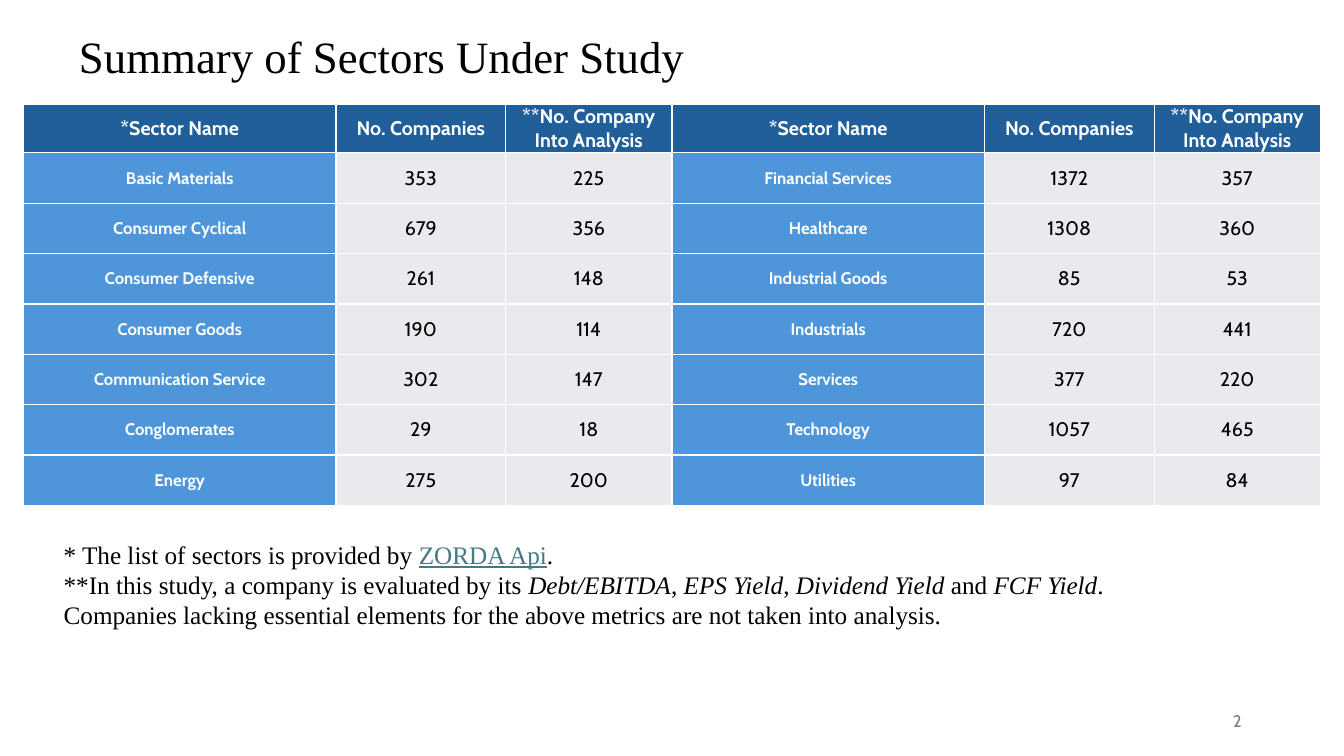
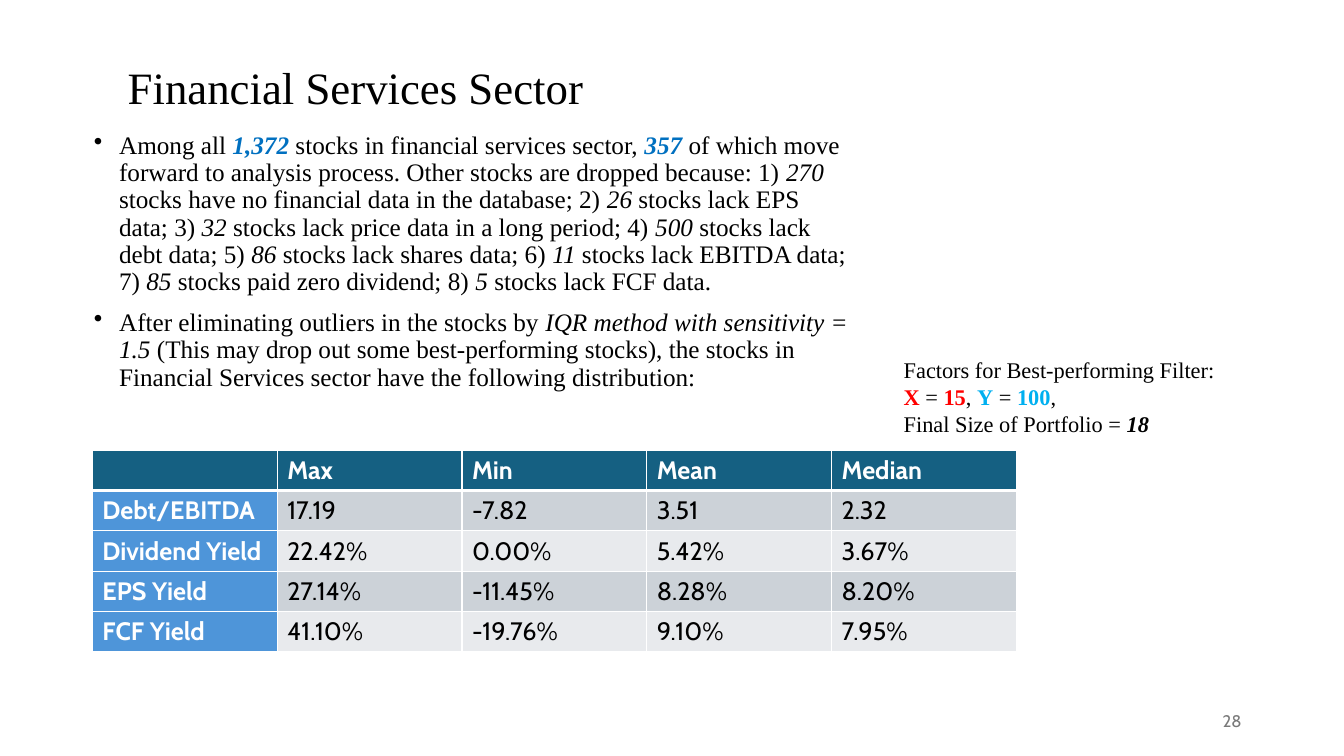
from lxml import etree
from pptx import Presentation
from pptx.dml.color import RGBColor
from pptx.enum.text import MSO_ANCHOR, MSO_AUTO_SIZE, PP_ALIGN
from pptx.oxml.ns import qn
from pptx.util import Inches, Pt

LEFT, CENTER, RIGHT = PP_ALIGN.LEFT, PP_ALIGN.CENTER, PP_ALIGN.RIGHT
TOP, MIDDLE = MSO_ANCHOR.TOP, MSO_ANCHOR.MIDDLE
NO_FIT = MSO_AUTO_SIZE.NONE

SERIF, SANS = "Times New Roman", "Cabin"
C = {
    "black": "000000", "white": "FFFFFF", "grey": "797979",
    "navy": "215F9A", "teal": "156082", "blue": "4E95D9",
    "pale": "E8EAED", "band": "CCD2D8", "link": "467886",
    "count": "0070C0", "red": "FF0000", "cyan": "00B0F0",
}
# Run styles: colour, bold, italic, underline
STYLES = {
    "plain": ("black", False, False, False),
    "i": ("black", False, True, False),
    "bi": ("black", True, True, False),
    "count": ("count", True, True, False),
    "link": ("link", False, False, True),
    "x": ("red", True, False, False),
    "y": ("cyan", True, False, False),
    "head": ("white", True, False, False),
    "page": ("grey", False, False, False),
}

prs = Presentation()
prs.slide_width, prs.slide_height = Inches(13.33), Inches(7.5)
U = prs.slide_width // 800  # grid of 800 columns by 450 rows


def write(tf, lines, size, font=SERIF, style="plain", align=LEFT):
    """Fill a frame; '|' parts the runs and 'key~' before a run names its style."""
    for n, line in enumerate(lines):
        p = tf.paragraphs[0] if n == 0 else tf.add_paragraph()
        p.alignment = align
        for part in line.split("|"):
            key, mark, text = part.rpartition("~")
            r = p.add_run()
            r.text = text
            colour, bold, italic, underline = STYLES[key if mark else style]
            r.font.name, r.font.size = font, Pt(size)
            r.font.bold, r.font.italic, r.font.underline = bold, italic, underline
            r.font.color.rgb = RGBColor.from_string(C[colour])


def add_grid(s, left, top, cols, rows, data, head, bands, sizes, align, anchor,
             margins, head_line):
    """Add a table; sizes are for the header, the first column and the values."""
    tbl = s.shapes.add_table(len(rows), len(cols), left * U, top * U,
                             sum(cols) * U, sum(rows) * U).table
    tbl.horz_banding = False
    for column, width in zip(tbl.columns, cols):
        column.width = width * U
    for i, values in enumerate(data):
        tbl.rows[i].height = rows[i] * U
        for j, value in enumerate(values):
            cell = tbl.cell(i, j)
            kind = 0 if i == 0 else 1 if j == 0 else 2
            fill = (head, "blue", bands[i % len(bands)])[kind]
            cell.fill.solid()
            cell.fill.fore_color.rgb = RGBColor.from_string(C[fill])
            cell.vertical_anchor = anchor
            cell.margin_left = cell.margin_right = Inches(margins[0])
            cell.margin_top = cell.margin_bottom = Inches(margins[1])
            if value:
                write(cell.text_frame, [value], sizes[kind], SANS,
                      "plain" if kind == 2 else "head", align)
            widths = {"lnL": 1, "lnR": 1,
                      "lnT": head_line if i == 1 else 1,
                      "lnB": head_line if i == 0 else 1}
            tcPr = cell._tc.get_or_add_tcPr()
            for n, (side, width) in enumerate(widths.items()):
                ln = etree.Element(qn("a:" + side), w=str(Pt(width)))
                solid = etree.SubElement(ln, qn("a:solidFill"))
                etree.SubElement(solid, qn("a:srgbClr"), val=C["white"])
                tcPr.insert(n, ln)


# Titles and page numbers
slides = []
for title, box, number in [
    ("Summary of Sectors Under Study", (41, 0, 690, 70), "2"),
    ("Financial Services Sector", (70, 9, 294, 89), "28"),
]:
    s = prs.slides.add_slide(prs.slide_layouts[5])
    sp = s.shapes.title
    sp.left, sp.top, sp.width, sp.height = [n * U for n in box]
    tf = sp.text_frame
    tf.auto_size, tf.vertical_anchor = NO_FIT, MIDDLE
    write(tf, [title], 32)
    tf.paragraphs[0].line_spacing = 0.9
    tf = s.shapes.add_textbox(565 * U, 417 * U, 180 * U, 24 * U).text_frame
    tf.word_wrap, tf.vertical_anchor = True, MIDDLE
    write(tf, [number], 12, SANS, "page", RIGHT)
    slides.append(s)
summary, financial = slides

# Sector tables, side by side around the middle of the slide
sector_head = ("*Sector Name", "No. Companies", "**No. Company Into Analysis")
sectors = [
    ("Basic Materials", "353", "225"),
    ("Consumer Cyclical", "679", "356"),
    ("Consumer Defensive", "261", "148"),
    ("Consumer Goods", "190", "114"),
    ("Communication Service", "302", "147"),
    ("Conglomerates", "29", "18"),
    ("Energy", "275", "200"),
    ("Financial Services", "1372", "357"),
    ("Healthcare", "1308", "360"),
    ("Industrial Goods", "85", "53"),
    ("Industrials", "720", "441"),
    ("Services", "377", "220"),
    ("Technology", "1057", "465"),
    ("Utilities", "97", "84"),
]
sector_cols = [186, 101, 99]
half = len(sectors) // 2
for k in range(2):
    add_grid(summary, 400 - (1 - k) * sum(sector_cols), 62, sector_cols,
             [29] + [30] * half,
             [sector_head] + sectors[k * half:(k + 1) * half],
             "navy", ["pale"], (14, 12, 14), CENTER, MIDDLE, (0.01, 0), 1)

# Distribution table
distribution = [
    ("", "Max", "Min", "Mean", "Median"),
    ("Debt/EBITDA", "17.19", "-7.82", "3.51", "2.32"),
    ("Dividend Yield", "22.42%", "0.00%", "5.42%", "3.67%"),
    ("EPS Yield", "27.14%", "-11.45%", "8.28%", "8.20%"),
    ("FCF Yield", "41.10%", "-19.76%", "9.10%", "7.95%"),
]
add_grid(financial, 55, 268, [110] * 5, [24] * 5, distribution,
         "teal", ["pale", "band"], (18, 18, 18), LEFT, TOP, (0.1, 0.05), 3)

# Running text
notes = [
    "* The list of sectors is provided by |link~ZORDA Api|.",
    "**In this study, a company is evaluated by its |i~Debt/EBITDA|, |i~EPS Yield|,"
    "|i~ Dividend Yield |and |i~FCF Yield|. Companies lacking essential elements "
    "for the above metrics are not taken into analysis.",
]
selection = [
    "Among all |count~1,372| stocks in financial services sector, |count~357| of "
    "which move forward to analysis process. Other stocks are dropped because: "
    "1) |i~270| stocks have no financial data in the database; "
    "2) |i~26| stocks lack EPS data; "
    "3) |i~32| stocks lack price data in a long period; "
    "4) |i~500| stocks lack debt data; "
    "5) |i~86| stocks lack shares data; "
    "6) |i~11| stocks lack EBITDA data; "
    "7) |i~85| stocks paid zero dividend; "
    "8) |i~5| stocks lack FCF data.",
    "After eliminating outliers in the stocks by |i~IQR method with sensitivity = "
    "1.5 |(This may drop out some best-performing stocks), the stocks in Financial "
    "Services sector have the following distribution:",
]
factors = [
    "Factors for Best-performing Filter:",
    "x~X| = |x~15|, |y~Y| = |y~100|,",
    "Final Size of Portfolio = |bi~18",
]
for s, box, lines, size, bulleted in [
    (summary, (32, 318, 699, 61), notes, 18, False),
    (financial, (50, 76, 464, 177), selection, 18, True),
    (financial, (532, 209, 214, 55), factors, 16, False),
]:
    tf = s.shapes.add_textbox(*[n * U for n in box]).text_frame
    tf.word_wrap = True
    write(tf, lines, size)
    if bulleted:
        for n, p in enumerate(tf.paragraphs):
            pPr = p._p.get_or_add_pPr()
            pPr.set("marL", str(Inches(0.25)))
            pPr.set("indent", str(-Inches(0.25)))
            etree.SubElement(pPr, qn("a:buChar"), char="•")
            p.line_spacing = 0.9
            p.space_before = Pt(10 if n else 0)

prs.save("out.pptx")
